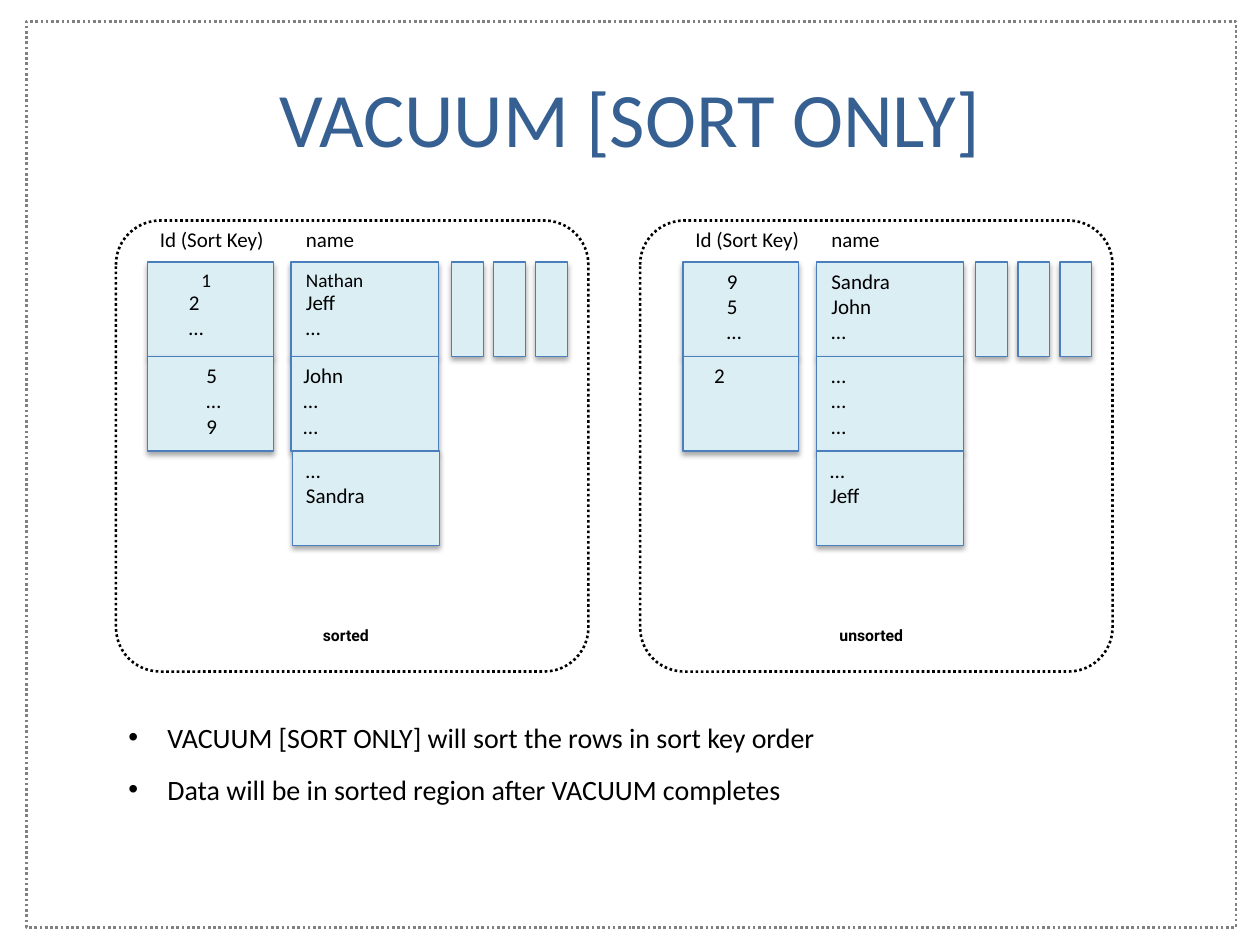
from lxml import etree
from pptx import Presentation
from pptx.dml.color import RGBColor
from pptx.enum.dml import MSO_LINE
from pptx.enum.shapes import MSO_SHAPE as Shape
from pptx.enum.text import MSO_ANCHOR as Anchor, PP_ALIGN as Align
from pptx.oxml import parse_xml
from pptx.oxml.ns import nsdecls, qn
from pptx.util import Inches, Pt

WHITE = RGBColor(0xFF, 0xFF, 0xFF)
BLACK = RGBColor(0x00, 0x00, 0x00)
GRAY = RGBColor(0x80, 0x80, 0x80)
TITLE_BLUE = RGBColor(0x37, 0x60, 0x92)
BLOCK_FILL = RGBColor(0xDB, 0xEE, 0xF4)
BLOCK_LINE = RGBColor(0x4B, 0x7E, 0xBC)
TOP, BLOCK_HEIGHT = 2.08, 0.75
SHADOW = (
    f'<a:outerShdw {nsdecls("a")} blurRad="{Pt(3.1)}" dist="{Pt(1.8)}" dir="5400000" '
    'rotWithShape="0"><a:srgbClr val="000000"><a:alpha val="35000"/></a:srgbClr></a:outerShdw>'
)


class SlideWriter:
    def __init__(self, slide, font="Calibri"):
        self.slide = slide
        self.font = font

    def shape(self, kind, box, fill, line, width):
        shape = self.slide.shapes.add_shape(kind, *map(Inches, box))
        shape.shadow.inherit = False
        if fill is None:
            shape.fill.background()
        else:
            shape.fill.solid()
            shape.fill.fore_color.rgb = fill
        shape.line.color.rgb = line
        shape.line.width = Pt(width)
        return shape

    def dotted(self, kind, box, fill, line):
        frame = self.shape(kind, box, fill, line, 1.5)
        frame.line.dash_style = MSO_LINE.ROUND_DOT
        return frame

    def region(self, left):
        frame = self.dotted(Shape.ROUNDED_RECTANGLE, (left, 1.75, 3.75, 3.58), None, BLACK)
        frame.adjustments[0] = 0.098

    def block(self, left, width, row=0):
        box = (left, TOP + row * BLOCK_HEIGHT, width, BLOCK_HEIGHT)
        block = self.shape(Shape.RECTANGLE, box, BLOCK_FILL, BLOCK_LINE, 0.75)
        effects = block.element.spPr.find(qn("a:effectLst"))
        effects.append(parse_xml(SHADOW))

    def text(self, box, lines, size=12, color=BLACK, font=None, bold=False,
             align=Align.LEFT, anchor=Anchor.TOP):
        frame = self.slide.shapes.add_textbox(*map(Inches, box)).text_frame
        frame.word_wrap = True
        frame.vertical_anchor = anchor
        for index, line in enumerate(lines):
            paragraph = frame.paragraphs[0] if index == 0 else frame.add_paragraph()
            paragraph.alignment = align
            run = paragraph.add_run()
            run.text = line
            run.font.name = font or self.font
            run.font.size = Pt(size)
            run.font.bold = bold
            run.font.color.rgb = color
        return frame

    def bullet(self, top, line):
        frame = self.text((0.92, top, 7.58, 0.37), [line], size=16)
        properties = frame.paragraphs[0]._p.get_or_add_pPr()
        properties.set("marL", str(Inches(0.31)))
        properties.set("indent", str(Inches(-0.31)))
        etree.SubElement(properties, qn("a:buFont")).set("typeface", "Arial")
        etree.SubElement(properties, qn("a:buChar")).set("char", "•")


REGIONS = [
    {
        "left": 0.92, "caption": "sorted", "caption_left": 1.08,
        "headings": [(1.17, "Id (Sort Key)"), (2.33, "name")],
        "blocks": [(1.17, 1, 0), (1.17, 1, 1), (2.31, 1.17, 0), (2.31, 1.17, 1), (2.32, 1.17, 2)],
        "values": [
            (1.5, 2.08, 11, ["1"]), (1.4, 2.25, 12, ["2", "…"]),
            (1.54, 2.83, 12, ["5", "…", "9"]),
            (2.33, 2.08, 11, ["Nathan"]), (2.33, 2.25, 12, ["Jeff", "…"]),
            (2.31, 2.83, 12, ["John", "…", "…"]), (2.33, 3.58, 12, ["…", "Sandra"]),
        ],
    },
    {
        "left": 5.08, "caption": "unsorted", "caption_left": 5.25,
        "headings": [(5.42, "Id (Sort Key)"), (6.5, "name")],
        "blocks": [(5.42, 0.92, 0), (5.42, 0.92, 1), (6.48, 1.17, 0), (6.48, 1.17, 1), (6.48, 1.17, 2)],
        "values": [
            (5.67, 2.08, 12, ["9", "5", "…"]), (5.57, 2.83, 12, ["2"]),
            (6.5, 2.08, 12, ["Sandra", "John", "…"]),
            (6.5, 2.83, 12, ["…", "…", "…"]), (6.49, 3.58, 12, ["…", "Jeff"]),
        ],
    },
]


def main():
    deck = Presentation()
    deck.slide_width, deck.slide_height = Inches(10), Inches(7.5)
    writer = SlideWriter(deck.slides.add_slide(deck.slide_layouts[6]))
    writer.dotted(Shape.RECTANGLE, (0.21, 0.17, 9.6, 7.19), WHITE, GRAY)
    writer.text((0.5, 0.3, 9, 1.25), ["VACUUM [SORT ONLY]"], size=44, color=TITLE_BLUE,
                align=Align.CENTER, anchor=Anchor.MIDDLE)

    for region in REGIONS:
        for left, width, row in region["blocks"]:
            writer.block(left, width, row)
        for column in range(3):
            writer.block(region["left"] + 2.665 + column / 3, 0.25)
        writer.region(region["left"])
        writer.text((region["caption_left"], 4.92, 3.33, 0.25), [region["caption"]],
                    size=9, font="Roboto", bold=True, align=Align.CENTER)
        for left, heading in region["headings"]:
            writer.text((left, 1.75, 1.17, 0.3), [heading])
        for left, top, size, lines in region["values"]:
            height = 0.1 + 0.2 * len(lines)
            writer.text((left, top, 1.17 if left % 5 > 1 and left > 2 else 0.55, height), lines, size)

    writer.bullet(5.67, "VACUUM [SORT ONLY] will sort the rows in sort key order")
    writer.bullet(6.08, "Data will be in sorted region after VACUUM completes")
    deck.save("out.pptx")


if __name__ == "__main__":
    main()
